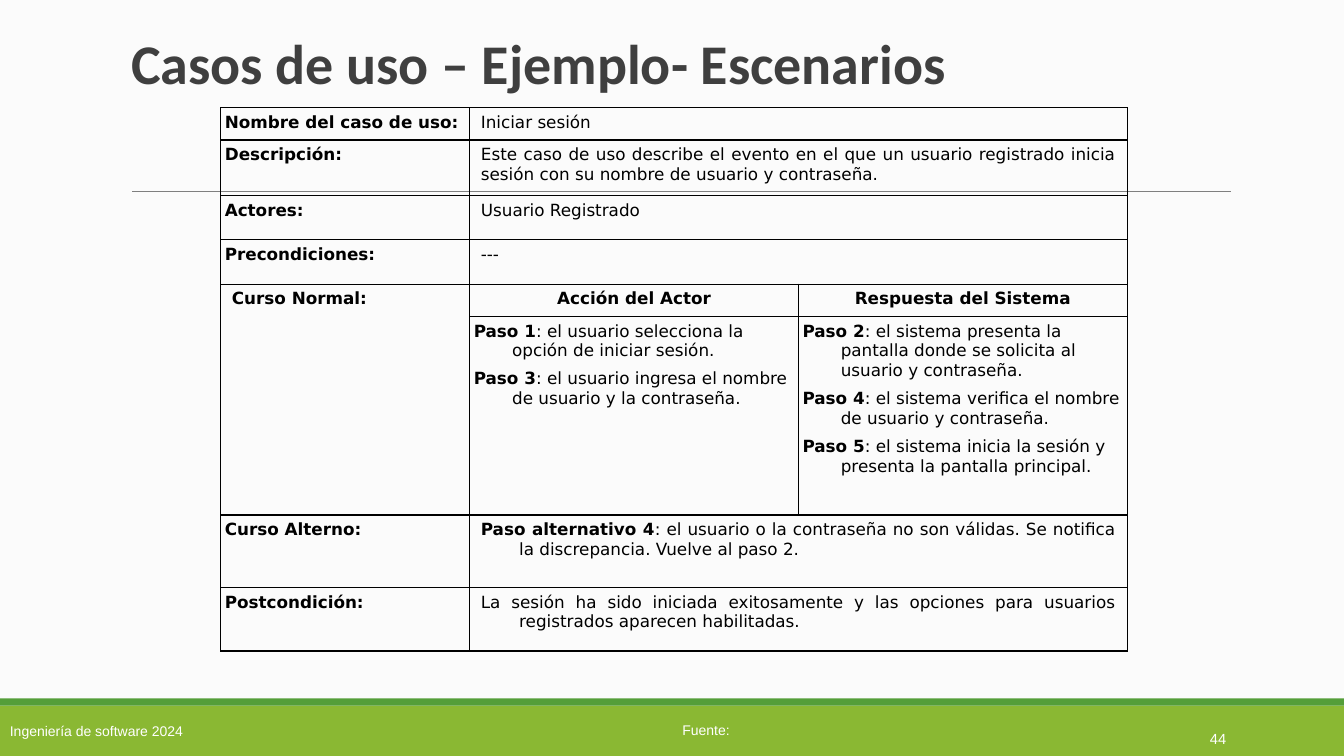
from dataclasses import dataclass

import pptx
import pptx.dml.color
import pptx.enum.shapes
import pptx.enum.text
import pptx.oxml
import pptx.oxml.ns
import pptx.util
from pptx.util import Inches

ALIGN = pptx.enum.text.PP_ALIGN
ANCHOR = pptx.enum.text.MSO_ANCHOR
HANGING = 0.38
NARROW, WIDE = 0.04, 0.11


@dataclass(frozen=True)
class Entry:
    """Content of one table cell; each paragraph is a (bold, regular) pair."""
    row: int
    column: int
    paragraphs: list[tuple[str, str]]
    margin: float = NARROW
    align: ALIGN = ALIGN.JUSTIFY
    hanging: float = 0
    last_row: int | None = None
    last_column: int | None = None


@dataclass(frozen=True)
class Field:
    """A row with a label and a value across the two right columns."""
    row: int
    label: str
    value: tuple[str, str]
    hanging: float = 0


FIELDS = [
    Field(0, "Nombre del caso de uso:", ("", "Iniciar sesión")),
    Field(1, "Descripción:", ("", "Este caso de uso describe el evento en el que un usuario "
                              "registrado inicia sesión con su nombre de usuario y contraseña.")),
    Field(2, "Actores:", ("", "Usuario Registrado")),
    Field(3, "Precondiciones:", ("", "---")),
    Field(6, "Curso Alterno:", ("Paso alternativo 4", ": el usuario o la contraseña no son válidas. "
                                "Se notifica la discrepancia. Vuelve al paso 2."), HANGING),
    Field(7, "Postcondición:", ("", "La sesión ha sido iniciada exitosamente y las opciones para "
                                "usuarios registrados aparecen habilitadas."), HANGING),
]

NORMAL_COURSE = [
    Entry(4, 0, [("Curso Normal:", "")], WIDE, last_row=5),
    Entry(4, 1, [("Acción del Actor", "")], align=ALIGN.CENTER, hanging=HANGING),
    Entry(4, 2, [("Respuesta del Sistema", "")], align=ALIGN.CENTER, hanging=HANGING),
    Entry(5, 1, [
        ("Paso 1", ": el usuario selecciona la opción de iniciar sesión."),
        ("Paso 3", ": el usuario ingresa el nombre de usuario y la contraseña."),
    ], align=ALIGN.LEFT, hanging=HANGING),
    Entry(5, 2, [
        ("Paso 2", ": el sistema presenta la pantalla donde se solicita al usuario y contraseña."),
        ("Paso 4", ": el sistema verifica el nombre de usuario y contraseña."),
        ("Paso 5", ": el sistema inicia la sesión y presenta la pantalla principal."),
    ], align=ALIGN.LEFT, hanging=HANGING),
]

COLUMN_WIDTHS = [2.47, 3.26, 3.26]
ROW_HEIGHTS = [0.32, 0.55, 0.44, 0.44, 0.32, 1.97, 0.72, 0.63]


def rgb(value: str) -> pptx.dml.color.RGBColor:
    return pptx.dml.color.RGBColor.from_string(value)


def write(frame, paragraphs: list[tuple[str, str]], *, size: float, font: str = "Arial",
          color: str = "FFFFFF", align: ALIGN = ALIGN.LEFT, hanging: float = 0,
          space_before: float = 0, line_spacing: float = 1.0) -> None:
    for index, parts in enumerate(paragraphs):
        paragraph = frame.add_paragraph() if index else frame.paragraphs[0]
        paragraph.alignment = align
        paragraph.line_spacing = line_spacing
        paragraph.space_before = pptx.util.Pt(space_before if index else 0)
        if hanging:
            properties = paragraph._p.get_or_add_pPr()
            properties.set("marL", str(Inches(hanging)))
            properties.set("indent", str(Inches(-hanging)))
        for text, bold in zip(parts, (True, False)):
            if text:
                run = paragraph.add_run()
                run.text = text
                run.font.name = font
                run.font.size = pptx.util.Pt(size)
                run.font.bold = bold
                run.font.color.rgb = rgb(color)


def add_band(slide, top: float, height: float, color: str):
    band = slide.shapes.add_shape(pptx.enum.shapes.MSO_SHAPE.RECTANGLE,
                                  0, Inches(top), Inches(13.33), Inches(height))
    band.shadow.inherit = False
    band.fill.solid()
    band.fill.fore_color.rgb = rgb(color)
    band.line.fill.background()
    return band


def add_label(slide, box: tuple[float, float, float, float], text: str, *,
              anchor: ANCHOR = ANCHOR.TOP, wrap: bool = True, **text_format) -> None:
    frame = slide.shapes.add_textbox(*map(Inches, box)).text_frame
    frame.word_wrap = wrap
    frame.vertical_anchor = anchor
    write(frame, [("", text)], **text_format)


def add_borders(cell, color: str = "000000", width: float = 0.96) -> None:
    properties = cell._tc.get_or_add_tcPr()
    for side in ("lnL", "lnR", "lnT", "lnB"):
        properties.append(pptx.oxml.parse_xml(
            f'<a:{side} {pptx.oxml.ns.nsdecls("a")} w="{pptx.util.Pt(width)}">'
            f'<a:solidFill><a:srgbClr val="{color}"/></a:solidFill></a:{side}>'))


def fill_entry(table, entry: Entry) -> None:
    cell = table.cell(entry.row, entry.column)
    if entry.last_row or entry.last_column:
        cell.merge(table.cell(entry.last_row or entry.row, entry.last_column or entry.column))
    cell.margin_left = cell.margin_right = Inches(entry.margin)
    cell.margin_top = cell.margin_bottom = Inches(0.05)
    write(cell.text_frame, entry.paragraphs, size=12, font="DejaVu Sans", color="000000",
          align=entry.align, hanging=entry.hanging, space_before=6)


def add_use_case(slide) -> None:
    frame = slide.shapes.add_table(len(ROW_HEIGHTS), len(COLUMN_WIDTHS), Inches(2.19), Inches(1.07),
                                   Inches(sum(COLUMN_WIDTHS)), Inches(sum(ROW_HEIGHTS)))
    table = frame.table
    table.first_row = table.horz_banding = False
    for column, width in zip(table.columns, COLUMN_WIDTHS):
        column.width = Inches(width)
    for row, height in zip(table.rows, ROW_HEIGHTS):
        row.height = Inches(height)
    for cell in table.iter_cells():
        add_borders(cell)
        cell.fill.background()
    for field in FIELDS:
        fill_entry(table, Entry(field.row, 0, [(field.label, "")], hanging=field.hanging))
        fill_entry(table, Entry(field.row, 1, [field.value], WIDE,
                                hanging=field.hanging, last_column=2))
    for entry in NORMAL_COURSE:
        fill_entry(table, entry)


def main() -> None:
    presentation = pptx.Presentation()
    presentation.slide_width, presentation.slide_height = Inches(13.33), Inches(7.5)
    slide = presentation.slides.add_slide(presentation.slide_layouts[5])
    slide.background.fill.solid()
    slide.background.fill.fore_color.rgb = rgb("FBFBFB")

    # Footer bands and rule
    footer = add_band(slide, 7, 0.5, "8AB833").text_frame
    footer.word_wrap = True
    footer.vertical_anchor = ANCHOR.MIDDLE
    write(footer, [("", "Ingeniería de software 2024")], size=10)
    add_band(slide, 6.93, 0.07, "549E39")
    rule = slide.shapes.add_connector(pptx.enum.shapes.MSO_CONNECTOR.STRAIGHT,
                                      Inches(1.31), Inches(1.9), Inches(12.21), Inches(1.9))
    rule.line.color.rgb = rgb("7F7F7F")
    rule.line.width = pptx.util.Pt(0.75)
    rule._element.spPr.append(pptx.oxml.parse_xml(
        f'<a:effectLst {pptx.oxml.ns.nsdecls("a")}/>'))

    # Source and slide number
    add_label(slide, (6.67, 7.11, 0.67, 0.26), "Fuente:", wrap=False, size=10)
    add_label(slide, (10.83, 7.06, 1.43, 0.4), "44", anchor=ANCHOR.BOTTOM,
              size=10.5, align=ALIGN.RIGHT)

    # Title
    title = slide.shapes.title
    title.left, title.top, title.width, title.height = map(Inches, (1.2, 0.26, 11.56, 0.81))
    title.text_frame.auto_size = pptx.enum.text.MSO_AUTO_SIZE.NONE
    title.text_frame.vertical_anchor = ANCHOR.MIDDLE
    write(title.text_frame, [("Casos de uso – Ejemplo- Escenarios", "")],
          size=40, font="Calibri", color="3F3F3F", line_spacing=0.85)

    # Use case table
    add_use_case(slide)
    presentation.save("out.pptx")


if __name__ == "__main__":
    main()
